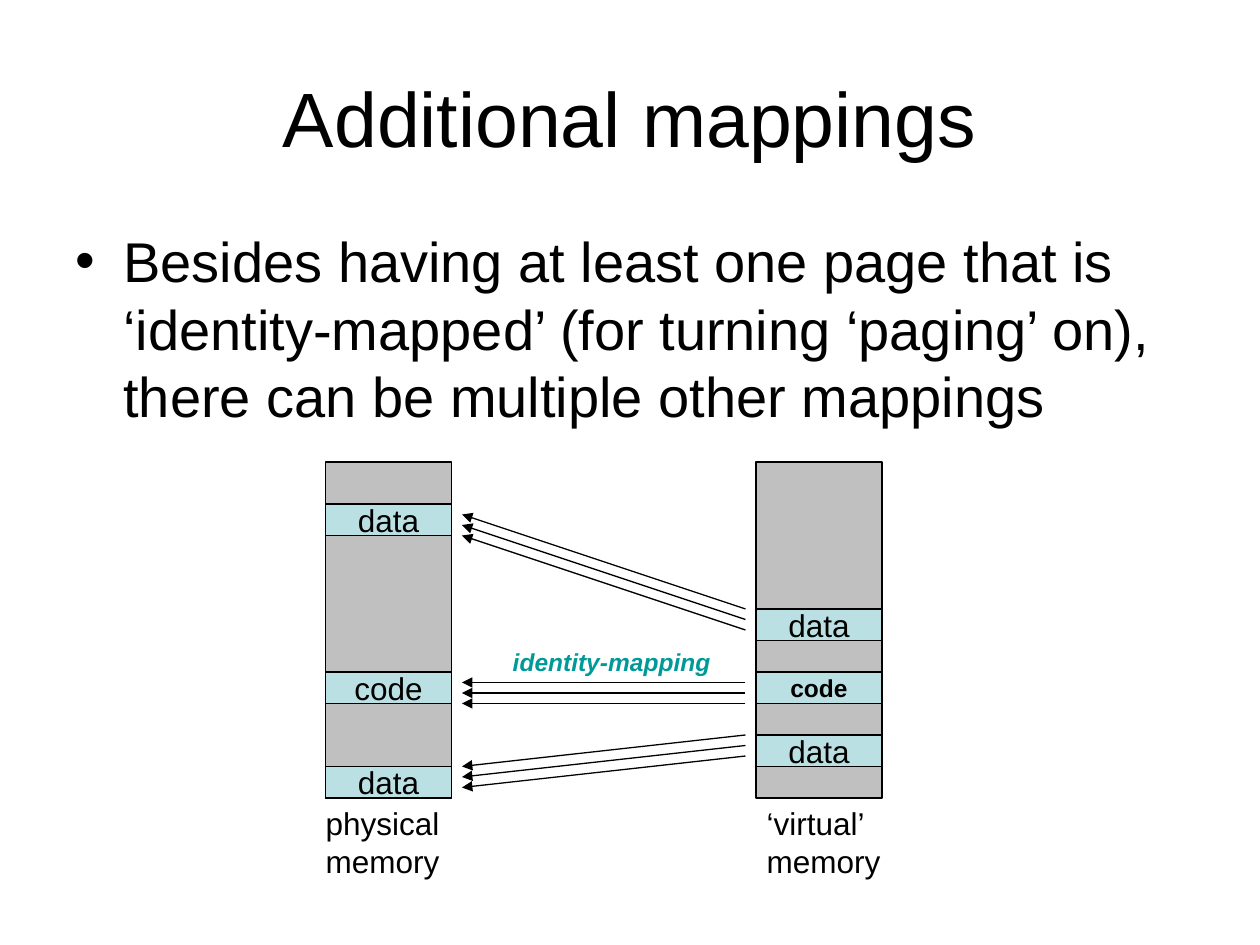
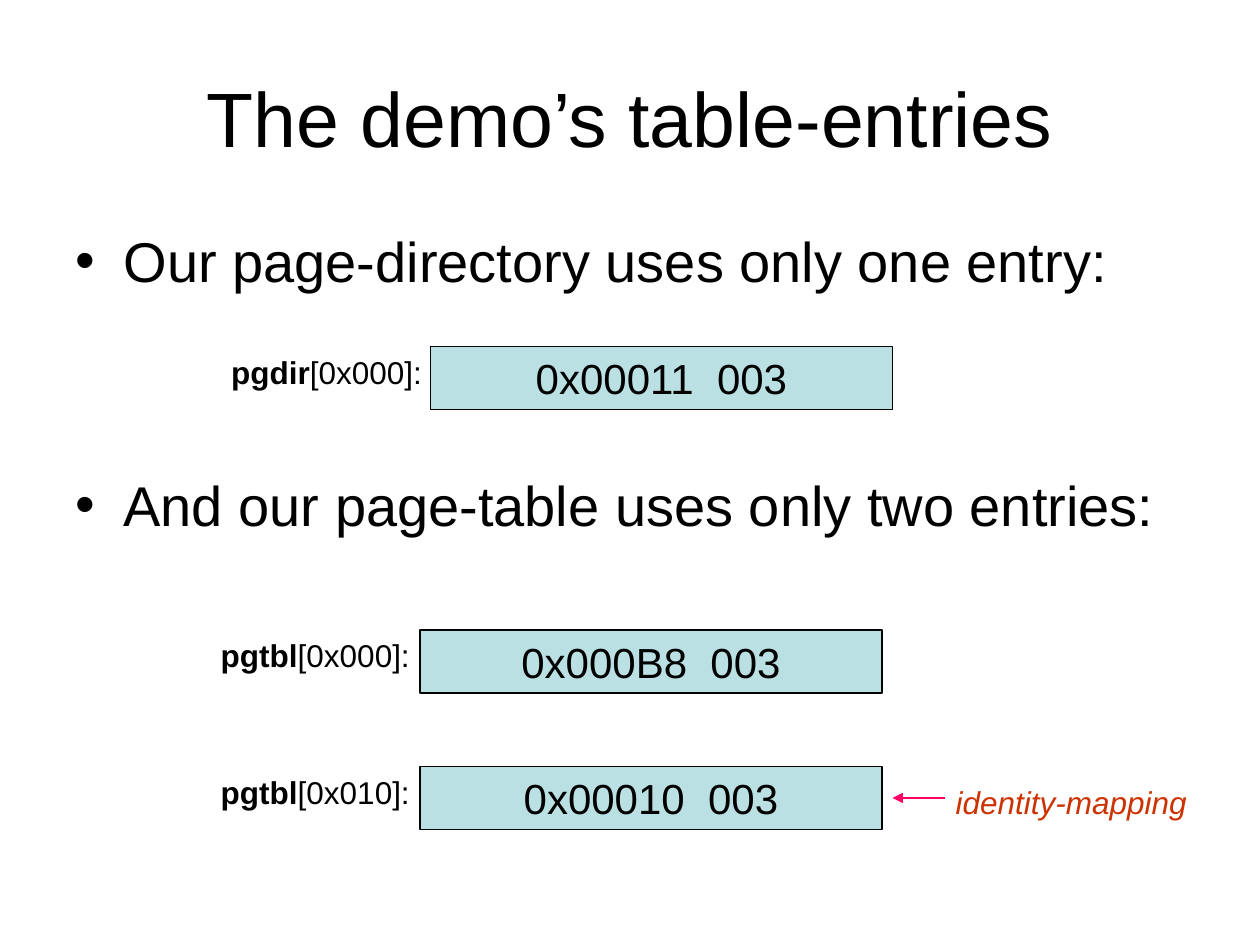
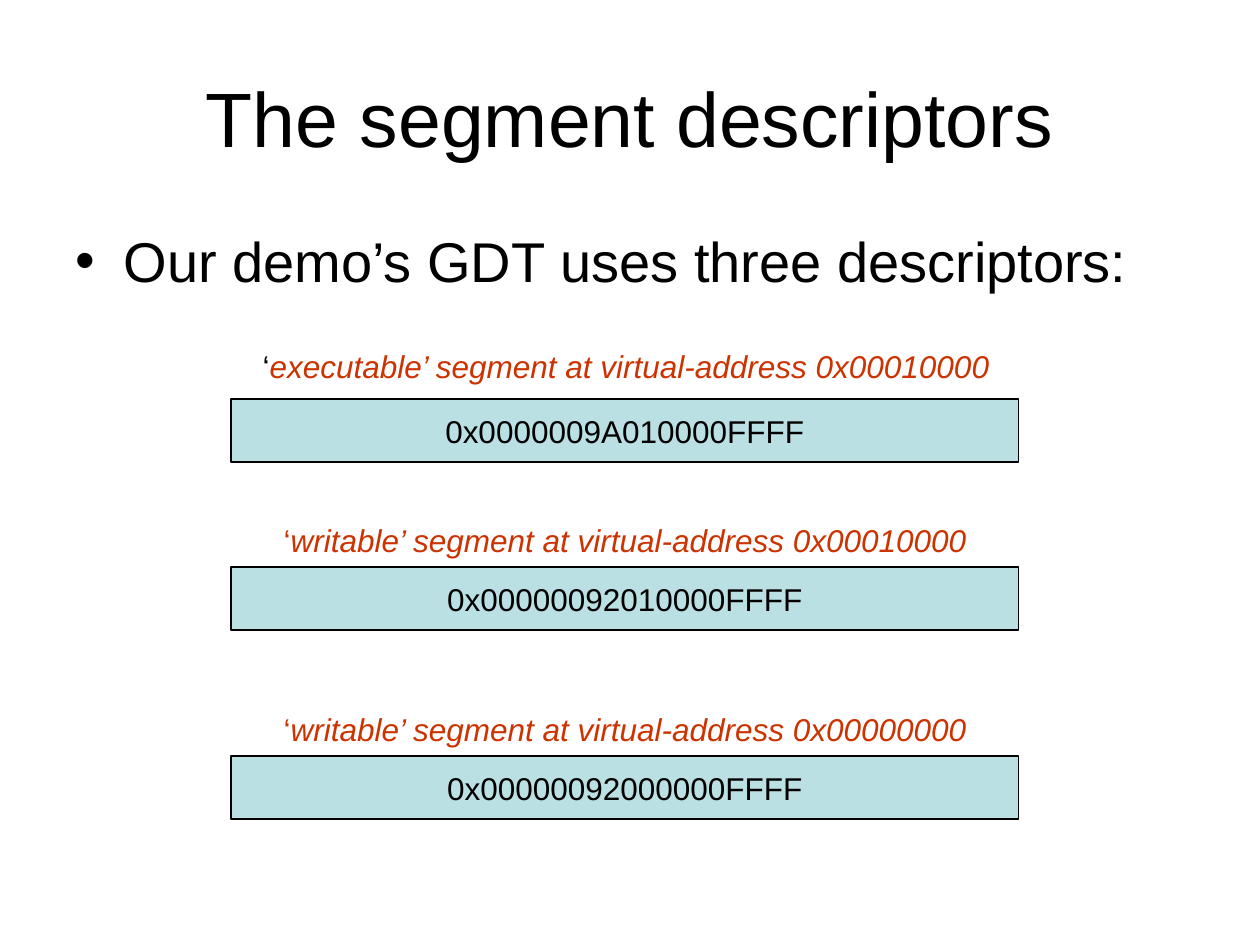
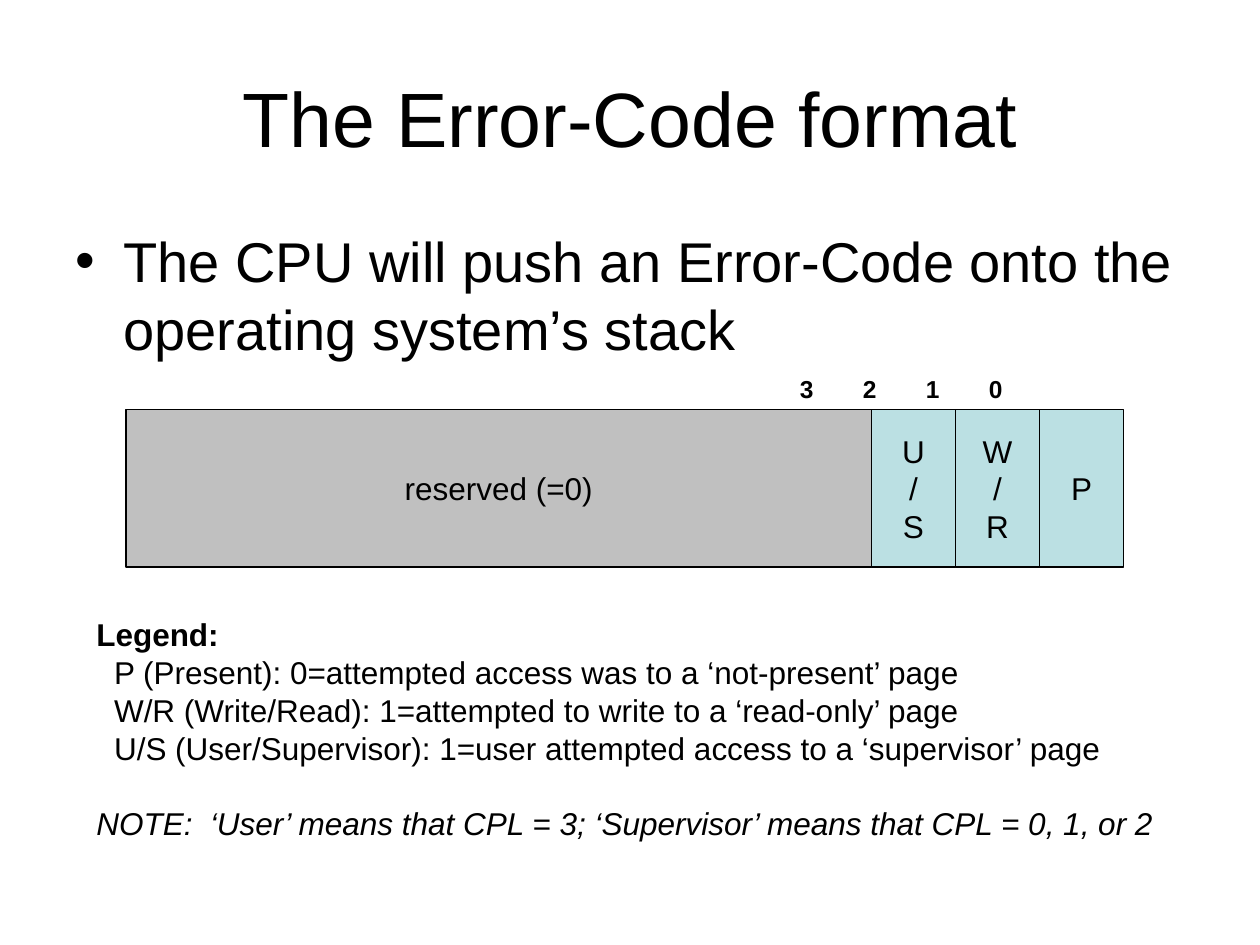
"""Build four slides on memory paging; drawings sit on a grid of twelfths of an inch."""
from lxml import etree
from pptx import Presentation
from pptx import util as u
from pptx.dml.color import RGBColor
from pptx.enum import shapes, text
from pptx.oxml import ns

FONT = "Arial"
BLACK, GRAY, AQUA = "000000", "C0C0C0", "BBE0E3"
TEAL, RUST, PINK = "009999", "CC3300", "FF0066"
LEADING = 1.2
SPACE = 0.28
ALIGN = text.PP_ALIGN

SLIDES = [
    ("Additional mappings",
     ["Besides having at least one page that is ‘identity-mapped’ (for turning ‘paging’ on), "
      "there can be multiple other mappings"]),
    ("The demo’s table-entries",
     ["Our page-directory uses only one entry:", "And our page-table uses only two entries:"]),
    ("The segment descriptors", ["Our demo’s GDT uses three descriptors:"]),
    ("The Error-Code format",
     ["The CPU will push an Error-Code onto the operating system’s stack"]),
]
BULLET_GAP = 101

MEMORIES = [
    (31, 29, ["physical", "memory"],
     [(48, "data", {}), (64, "code", {}), (73, "data", {})]),
    (72, 71, ["‘virtual’", "memory"],
     [(58, "data", {}), (64, "code", {"size": 14, "bold": True}), (70, "data", {})]),
]
MAPPINGS = [(58, 49), (65, 65), (70, 73)]

ENTRIES = [
    (41, 33, "pgdir", "[0x000]:", "0x00011  003"),
    (40, 60, "pgtbl", "[0x000]:", "0x000B8  003"),
    (40, 73, "pgtbl", "[0x010]:", "0x00010  003"),
]

DESCRIPTORS = [
    (38, "0x0000009A010000FFFF", (23, 32.5, 73), BLACK,
     "executable’ segment at virtual-address 0x00010000"),
    (54, "0x00000092010000FFFF", (25, 49, 69), RUST,
     "writable’ segment at virtual-address 0x00010000"),
    (72, "0x00000092000000FFFF", (25, 67, 69), RUST,
     "writable’ segment at virtual-address 0x00000000"),
]

FIELDS = [
    (71, GRAY, ["reserved (=0)"]),
    (8, AQUA, ["U", "/", "S"]),
    (8, AQUA, ["W", "/", "R"]),
    (8, AQUA, ["P"]),
]
BIT_TABS = {"3": 0.86, "2": 1.45, "1": 2.05, "0": 2.7}

LEGEND = [
    "P (Present): 0=attempted access was to a ‘not-present’ page",
    "W/R (Write/Read): 1=attempted to write to a ‘read-only’ page",
    "U/S (User/Supervisor): 1=user attempted access to a ‘supervisor’ page",
]
NOTE = "NOTE:  ‘User’ means that CPL = 3; ‘Supervisor’ means that CPL = 0, 1, or 2"


def color(value):
    return RGBColor.from_string(value)


def grid(*cells):
    return [u.Inches(cell / 12) for cell in cells]


def indent(para, left, first=0):
    props = para._p.get_or_add_pPr()
    props.set("marL", str(u.Inches(left)))
    props.set("indent", str(u.Inches(first)))


def write(frame, content, size=18, fill=BLACK, bold=False, italic=False,
          align=ALIGN.LEFT, before=0, left=0, first=0):
    """Fill a frame; a paragraph is a string or a list of (text, format) spans."""
    for index, spans in enumerate(content):
        para = frame.paragraphs[0] if index == 0 else frame.add_paragraph()
        para.alignment = align
        para.line_spacing = u.Pt(size * LEADING)
        para.space_before = u.Pt(before if index else 0)
        indent(para, left, first)
        for words, changes in [(spans, {})] if isinstance(spans, str) else spans:
            span = para.add_run()
            span.text = words
            span.font.name, span.font.size = FONT, u.Pt(size)
            span.font.bold = changes.get("bold", bold)
            span.font.italic = changes.get("italic", italic)
            span.font.color.rgb = color(changes.get("fill", fill))


def add_box(page, x, y, width, height, fill, content=(), **form):
    box = page.shapes.add_shape(shapes.MSO_SHAPE.RECTANGLE, *grid(x, y, width, height))
    box.shadow.inherit = False
    box.fill.solid()
    box.fill.fore_color.rgb = color(fill)
    box.line.color.rgb = color(BLACK)
    box.line.width = u.Pt(0.75)
    box.text_frame.word_wrap = False
    box.text_frame.vertical_anchor = text.MSO_ANCHOR.MIDDLE
    write(box.text_frame, content, align=ALIGN.CENTER, **form)


def add_label(page, x, y, width, height, content, **form):
    frame = page.shapes.add_textbox(*grid(x, y, width, height)).text_frame
    frame.word_wrap = True
    frame.margin_right = 0
    form.setdefault("left", SPACE * form.get("size", 18) / 72)
    write(frame, content, **form)
    return frame


def add_arrow(page, start, end, fill=BLACK):
    arrow = page.shapes.add_connector(shapes.MSO_CONNECTOR.STRAIGHT, *grid(*start, *end))
    arrow.line.color.rgb = color(fill)
    arrow.line.width = u.Pt(0.75)
    etree.SubElement(arrow.line._get_or_add_ln(), ns.qn("a:tailEnd"), type="triangle")
    etree.SubElement(arrow._element.spPr, ns.qn("a:effectLst"))


def add_page(deck, title, bullets):
    page = deck.slides.add_slide(deck.slide_layouts[1])
    heading, body = page.shapes.title, page.placeholders[1]
    for holder, top, height in ((heading, 0.3, 1.25), (body, 1.75, 4.95)):
        holder.left, holder.width = u.Inches(0.5), u.Inches(9)
        holder.top, holder.height = u.Inches(top), u.Inches(height)
        holder.text_frame.auto_size = text.MSO_AUTO_SIZE.NONE
    heading.text_frame.vertical_anchor = text.MSO_ANCHOR.MIDDLE
    write(heading.text_frame, [title], size=44, align=ALIGN.CENTER)
    write(body.text_frame, bullets, size=32, before=BULLET_GAP, left=0.38, first=-0.38)
    return page


def draw_mappings(page):
    for x, label_x, label, blocks in MEMORIES:
        add_box(page, x, 44, 12, 32, GRAY)
        for y, name, form in blocks:
            add_box(page, x, y, 12, 3, AQUA, [name], **form)
        add_label(page, label_x, 76, 14, 8.4, label)
    for start, end in MAPPINGS:
        for step in range(3):
            add_arrow(page, (71, start + step), (44, end + step))
    add_label(page, 47, 61, 22, 4, ["identity-mapping"],
              size=14, fill=TEAL, bold=True, italic=True)


def draw_entries(page):
    for x, y, table, index, value in ENTRIES:
        add_box(page, x, y, 44, 6, AQUA, [value], size=24)
        add_label(page, x - 21, y, 22, 4.8, [[(table, {"bold": True}), (index, {})]])
    add_label(page, 89, 74, 25, 4.8, ["identity-mapping"], fill=RUST, italic=True)
    add_arrow(page, (90, 76), (85, 76), PINK)


def draw_descriptors(page):
    for y, value, (x, top, width), quote, caption in DESCRIPTORS:
        add_box(page, 22, y, 75, 6, AQUA, [value])
        spans = [("‘", {"fill": quote}), (caption, {"italic": True})]
        add_label(page, x, top, width, 4.8, [spans], fill=RUST)


def draw_error_code(page):
    x = 12
    for width, fill, content in FIELDS:
        add_box(page, x, 39, width, 15, fill, content)
        x += width
    frame = add_label(page, 69, 35, 40, 4, ["".join("\t" + bit for bit in BIT_TABS)],
                      size=14, bold=True, left=0)
    props = frame.paragraphs[0]._p.get_or_add_pPr()
    stops = etree.SubElement(props, ns.qn("a:tabLst"))
    for place in BIT_TABS.values():
        etree.SubElement(stops, ns.qn("a:tab"), pos=str(u.Inches(place)), algn="ctr")

    content = [[("Legend:", {"bold": True})], *LEGEND, [(NOTE, {"italic": True})]]
    legend = add_label(page, 8, 58, 104, 22.8, content, left=0)
    for para in legend.paragraphs[1:-1]:
        indent(para, 0.14)
    legend.paragraphs[-1].space_before = u.Pt(18 * LEADING)


def main():
    deck = Presentation()
    deck.slide_width, deck.slide_height = u.Inches(10), u.Inches(7.5)
    drawings = [draw_mappings, draw_entries, draw_descriptors, draw_error_code]
    for (title, bullets), draw in zip(SLIDES, drawings):
        draw(add_page(deck, title, bullets))
    deck.save("out.pptx")


if __name__ == "__main__":
    main()
